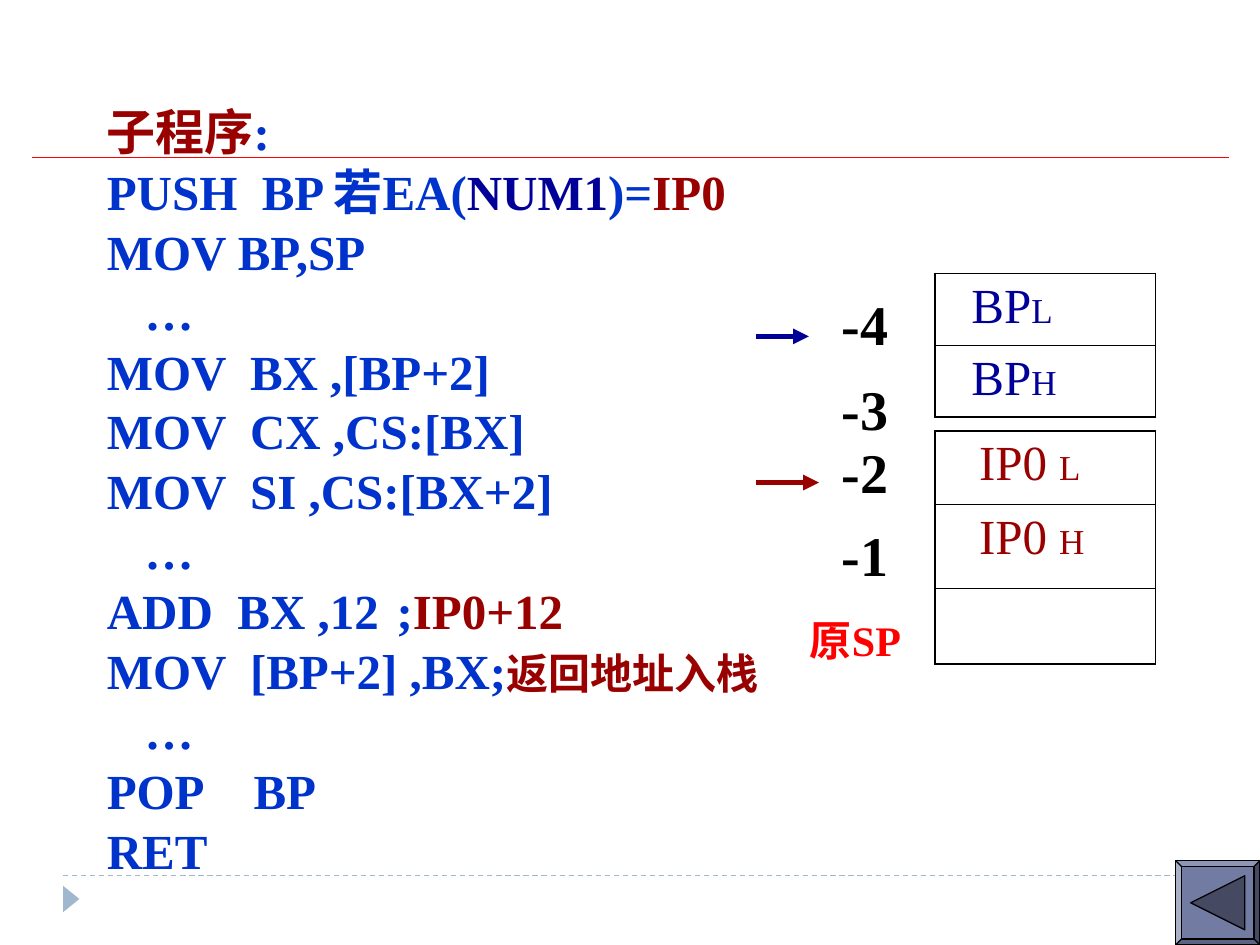
from lxml.etree import SubElement
from pptx import Presentation
from pptx.dml.color import RGBColor
from pptx.enum.dml import MSO_LINE
from pptx.enum.shapes import MSO_CONNECTOR, MSO_SHAPE
from pptx.oxml.ns import qn
from pptx.util import Inches, Pt

HUES = {"blue": "0033CC", "navy": "000099", "wine": "990000", "red": "FF0000",
        "black": "000000", "sky": "9FB8CD", "slate": "727CA3", "dusk": "454A62"}

CODE = [
    (0, [("子程序", "wine", 28), (":", "blue", 28)]),
    (3.06, [("PUSH  BP\t若EA(", "blue", 28), ("NUM1", "navy", 28),
            (")=", "blue", 28), ("IP0", "wine", 28)]),
    (0, [("MOV BP,SP", "blue", 28)]),
    (0, [("\t…", "blue", 28)]),
    (0, [("MOV  BX ,[BP+2]", "blue", 28)]),
    (0, [("MOV  CX ,CS:[BX]", "blue", 28)]),
    (0, [("MOV  SI ,CS:[BX+2]", "blue", 28)]),
    (0, [("\t…", "blue", 28)]),
    (2, [("ADD  BX ,12\t;", "blue", 28), ("IP0+12", "wine", 28)]),
    (0, [("MOV  [BP+2] ,BX;", "blue", 28), ("返回地址入栈", "wine", 24)]),
    (0, [("\t…", "blue", 28)]),
    (0, [("POP　BP", "blue", 28)]),
    (0, [("RET", "blue", 28)]),
]


class Deck:
    face = "Times New Roman"

    def __init__(self, slide):
        self.slide = slide
        self.shapes = slide.shapes

    def hue(self, name):
        return RGBColor.from_string(HUES[name])

    def runs(self, para, parts, bold=True):
        for text, hue, size in parts:
            run = para.add_run()
            run.text = text
            font = run.font
            font.name, font.size, font.bold = self.face, Pt(size), bold
            font.color.rgb = self.hue(hue)

    def box(self, x, y, w, h):
        frame = self.shapes.add_textbox(
            Inches(x), Inches(y), Inches(w), Inches(h)).text_frame
        frame.word_wrap = True
        return frame

    def label(self, x, y, w, h, text, hue, size):
        frame = self.box(x, y, w, h)
        self.runs(frame.paragraphs[0], [(text, hue, size)])

    def code(self, x, y, w, h, lines):
        frame = self.box(x, y, w, h)
        for i, (stop, parts) in enumerate(lines):
            para = frame.add_paragraph() if i else frame.paragraphs[0]
            para.line_spacing = 0.84
            para.space_before = Pt(6 if i else 0)
            props = para._p.get_or_add_pPr()
            props.set("marL", str(Inches(0.3)))
            props.set("indent", str(-Inches(0.3)))
            tabs = SubElement(props, qn("a:tabLst"))
            SubElement(tabs, qn("a:tab"), pos=str(Inches(stop)), algn="l")
            self.runs(para, parts)

    def line(self, start, end, hue, width, dash=None, arrow=False):
        link = self.shapes.add_connector(
            MSO_CONNECTOR.STRAIGHT, *map(Inches, start + end))
        link.line.color.rgb = self.hue(hue)
        link.line.width = Pt(width)
        if dash:
            link.line.dash_style = dash
        if arrow:
            SubElement(link.line._get_or_add_ln(), qn("a:tailEnd"), type="triangle")
        SubElement(link._element.spPr, qn("a:effectLst"))

    def shape(self, kind, x, y, w, h, hue, turn=0, edge=None):
        item = self.shapes.add_shape(
            kind, Inches(x), Inches(y), Inches(w), Inches(h))
        item.shadow.inherit = False
        item.rotation = turn
        item.fill.solid()
        item.fill.fore_color.rgb = self.hue(hue)
        if edge:
            item.line.color.rgb = self.hue(edge)
            item.line.width = Pt(0.75)
        else:
            item.line.fill.background()
        return item

    def border(self, cell, first, last):
        props = cell._tc.get_or_add_tcPr()
        sides = {"L": 1.08, "R": 1.08,
                 "T": 1.08 if first else 0.45, "B": 1.08 if last else 0.45}
        for side, width in sides.items():
            edge = SubElement(props, qn("a:ln" + side), w=str(Pt(width)))
            fill = SubElement(edge, qn("a:solidFill"))
            SubElement(fill, qn("a:srgbClr"), val=HUES["black"])

    def stack(self, x, y, w, rows, pad):
        grid = self.shapes.add_table(
            len(rows), 1, Inches(x), Inches(y), Inches(w),
            Inches(sum(row[0] for row in rows))).table
        grid.first_row = grid.horz_banding = False
        for i, (high, parts) in enumerate(rows):
            grid.rows[i].height = Inches(high)
            cell = grid.cell(i, 0)
            cell.margin_left = Inches(pad)
            self.border(cell, i == 0, i == len(rows) - 1)
            cell.fill.background()
            self.runs(cell.text_frame.paragraphs[0], parts, bold=False)


def main():
    show = Presentation()
    show.slide_width, show.slide_height = Inches(10), Inches(7.5)
    deck = Deck(show.slides.add_slide(show.slide_layouts[6]))

    deck.line((0.5, 6.95), (9.5, 6.95), "sky", 0.75, dash=MSO_LINE.DASH)
    deck.shape(MSO_SHAPE.ISOSCELES_TRIANGLE, 0.46, 7.07, 0.21, 0.13, "sky", turn=90)
    deck.line((0.25, 1.25), (9.75, 1.25), "red", 0.75)
    deck.code(0.75, 0.83, 8.5, 6.42, CODE)

    deck.stack(7.42, 3.42, 1.75, [
        (0.58, [("IP0 ", "wine", 28), ("L", "wine", 20)]),
        (0.67, [("IP0 ", "wine", 28), ("H", "wine", 20)]),
        (0.6, [])], 0.35)
    deck.stack(7.42, 2.17, 1.75, [
        (0.57, [("BP", "navy", 28), (end, "navy", 20)]) for end in "LH"], 0.29)

    deck.label(6.33, 4.83, 1.08, 0.5, "原SP", "red", 24)
    for y, text in ((2.25, "-4"), (2.92, "-3"), (3.42, "-2"), (4.08, "-1")):
        deck.label(6.58, y, 0.75, 0.64, text, "black", 32)
    for y, tip, hue in ((2.67, 6.42, "navy"), (3.83, 6.5, "wine")):
        deck.line((6, y), (tip, y), hue, 3, arrow=True)

    back = deck.shape(MSO_SHAPE.BEVEL, 9.33, 6.83, 0.67, 0.67, "slate", edge="black")
    back.adjustments[0] = 0.07
    deck.shape(MSO_SHAPE.ISOSCELES_TRIANGLE, 9.45, 6.95, 0.43, 0.43, "dusk",
               turn=270, edge="black")
    show.save("out.pptx")


if __name__ == "__main__":
    main()
